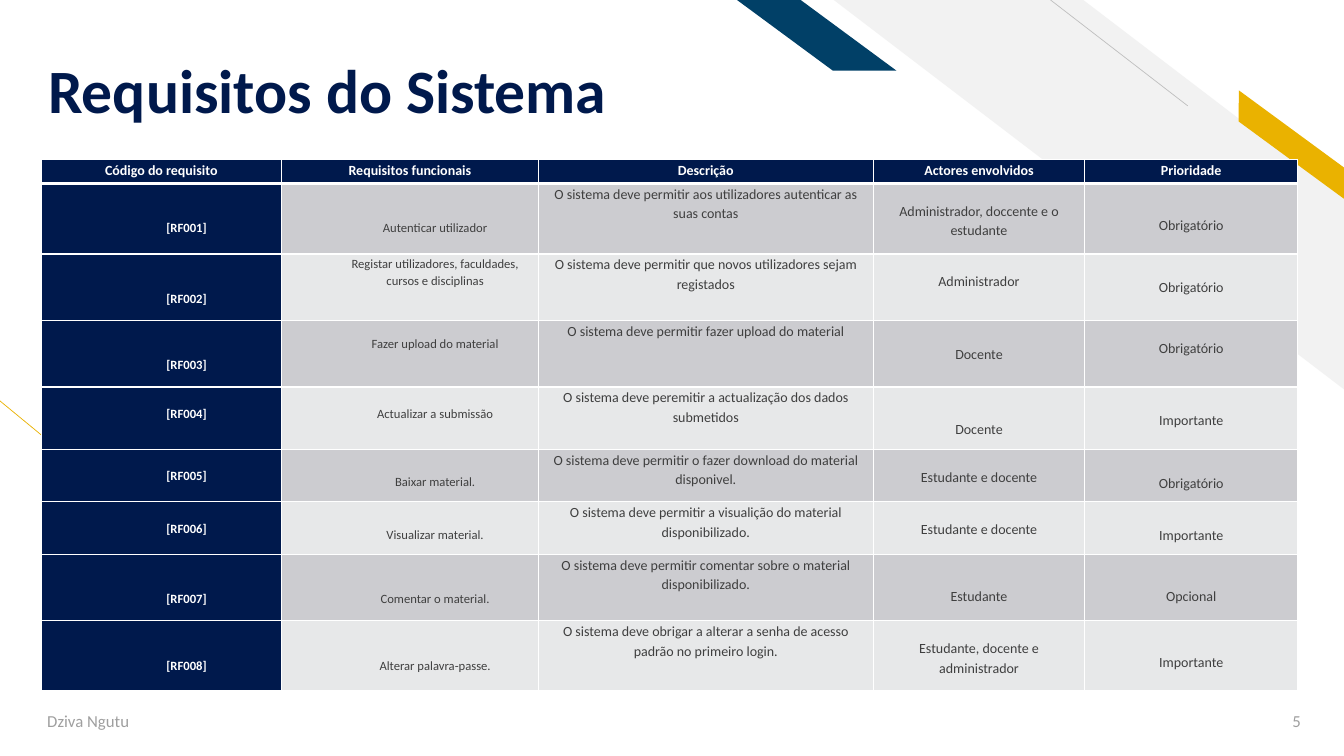
from lxml import etree
from pptx import Presentation
from pptx.dml.color import RGBColor
from pptx.enum.shapes import MSO_CONNECTOR, MSO_SHAPE as SHAPE
from pptx.enum.text import MSO_ANCHOR as ANCHOR, PP_ALIGN as ALIGN
from pptx.oxml import parse_xml
from pptx.oxml.ns import nsdecls, qn
from pptx.util import Inches, Pt

NAVY, WHITE, GREY, GOLD = "00194C", "FFFFFF", "3F3F3F", "EAB200"
BANDS = ("CCCCD0", "E7E8E9")

HEADER = ("Código do requisito", "Requisitos funcionais", "Descrição",
          "Actores envolvidos", "Prioridade")
REQUIREMENTS = [
    ("[RF001]", "Autenticar utilizador",
     "O sistema deve permitir aos utilizadores autenticar as suas contas",
     "Administrador, doccente e o estudante", "Obrigatório"),
    ("[RF002]", "Registar utilizadores, faculdades, cursos e disciplinas",
     "O sistema deve permitir que novos utilizadores sejam registados",
     "Administrador", "Obrigatório"),
    ("[RF003]", "Fazer upload do material",
     "O sistema deve permitir fazer upload do material", "Docente", "Obrigatório"),
    ("[RF004]", "Actualizar a submissão",
     "O sistema deve peremitir a actualização dos dados submetidos",
     "Docente", "Importante"),
    ("[RF005]", "Baixar material.",
     "O sistema deve permitir o fazer download do material disponivel.",
     "Estudante e docente", "Obrigatório"),
    ("[RF006]", "Visualizar material.",
     "O sistema deve permitir a visualição do material disponibilizado.",
     "Estudante e docente", "Importante"),
    ("[RF007]", "Comentar o material.",
     "O sistema deve permitir comentar sobre o material disponibilizado.",
     "Estudante", "Opcional"),
    ("[RF008]", "Alterar palavra-passe.",
     "O sistema deve obrigar a alterar a senha de acesso padrão no primeiro login.",
     "Estudante, docente e administrador", "Importante"),
]
TOP_GAPS = [
    (0.35, 0.35, 0, 0.17, 0.31),
    (0.35, 0, 0, 0.17, 0.23),
    (0.35, 0.14, 0, 0.23, 0.17),
    (0.17, 0.17, 0, 0.31, 0.23),
    (0.17, 0.23, 0, 0.17, 0.23),
    (0.17, 0.23, 0, 0.17, 0.23),
    (0.35, 0.35, 0, 0.31, 0.31),
    (0.35, 0.35, 0, 0.17, 0.31),
]
TABLE_BOX = (0.41, 1.58, 12.46, 5.27)
COLS = (2.38, 2.55, 3.32, 2.1, 2.11)
ROWS = (0.24, 0.7, 0.66, 0.66, 0.62, 0.52, 0.52, 0.66, 0.69)

STRIPE = (SHAPE.DIAGONAL_STRIPE, (8.27, 0, 5.07, 3.87), 0.512, "F2F2F2", 0)
GOLD_BAR = (SHAPE.PARALLELOGRAM, (12.07, 1.31, 1.48, 0.25), 0.72, GOLD, 36.3)
BLUE_BAR = (SHAPE.PARALLELOGRAM, (7.31, 0, 1.58, 0.7), 1.356, "014067", 0)
GOLD_LINE = ((2.08, 5.69), (-0.01, 3.97), GOLD)
GREY_LINE = ((11.78, 1.05), (10.42, 0), "BFBFBF")

TITLE_FONT = {"size": Pt(44), "name": "Calibri", "bold": True}
FOOTER_FONT = {"size": Pt(12), "name": "Calibri", "bold": False}


def rgb(value):
    return RGBColor.from_string(value)


def apply(obj, values):
    for name, value in values.items():
        setattr(obj, name, value)


def write(tf, text, font, color, **para):
    p = tf.paragraphs[0]
    apply(p, para)
    r = p.add_run()
    r.text = text
    apply(r.font, font)
    r.font.color.rgb = rgb(color)


def add_text(s, box, text, font, color, frame, **para):
    tf = s.shapes.add_textbox(*map(Inches, box)).text_frame
    apply(tf, {"word_wrap": True, **frame})
    write(tf, text, font, color, **para)


def add_stripe(s, kind, box, adj, fill, angle):
    sp = s.shapes.add_shape(kind, *map(Inches, box))
    sp.shadow.inherit = False
    sp.adjustments[0] = adj
    sp.rotation = angle
    sp.fill.solid()
    sp.fill.fore_color.rgb = rgb(fill)
    sp.line.fill.background()
    sp._element.spPr.find(qn("a:xfrm")).set("flipH", "1")


def add_line(s, start, end, color):
    c = s.shapes.add_connector(MSO_CONNECTOR.STRAIGHT, *map(Inches, start + end))
    c.line.width = Pt(0.5)
    c.line.color.rgb = rgb(color)
    etree.SubElement(c._element.spPr, qn("a:effectLst"))


def set_borders(cell, bottom, top):
    tcPr = cell._tc.get_or_add_tcPr()
    for i, (side, width) in enumerate((("L", 1), ("R", 1), ("T", top), ("B", bottom))):
        tcPr.insert(i, parse_xml(
            f'<a:ln{side} {nsdecls("a")} w="{Pt(width)}"><a:solidFill>'
            f'<a:srgbClr val="{WHITE}"/></a:solidFill></a:ln{side}>'))


def add_requirements(s):
    tbl = s.shapes.add_table(len(ROWS), len(COLS), *map(Inches, TABLE_BOX)).table
    apply(tbl, {"first_row": False, "horz_banding": False})
    for col, width in zip(tbl.columns, COLS):
        col.width = Inches(width)
    for row, height in zip(tbl.rows, ROWS):
        row.height = Inches(height)
    gaps = [(0,) * len(COLS)] + TOP_GAPS
    for i, texts in enumerate([HEADER] + REQUIREMENTS):
        for j, text in enumerate(texts):
            dark = i == 0 or j == 0
            indented = i > 0 and j < 2
            cell = tbl.cell(i, j)
            apply(cell, {"margin_left": Inches(0.56 if indented else 0.06),
                         "margin_right": Inches(0.06),
                         "margin_top": Inches(gaps[i][j]),
                         "margin_bottom": 0,
                         "vertical_anchor": ANCHOR.TOP})
            cell.fill.solid()
            cell.fill.fore_color.rgb = rgb(NAVY if dark else BANDS[(i - 1) % 2])
            set_borders(cell, 3 if i == 0 else 1, 3 if i == 1 else 1)
            font = {"size": Pt(9 if indented else 10), "name": "Calibri", "bold": dark}
            write(cell.text_frame, text, font, WHITE if dark else GREY,
                  alignment=ALIGN.CENTER, line_spacing=1.15,
                  space_after=Pt(0 if indented else 8))


def main():
    prs = Presentation()
    prs.slide_width, prs.slide_height = Inches(13.33), Inches(7.5)
    s = prs.slides.add_slide(prs.slide_layouts[6])
    add_line(s, *GOLD_LINE)
    add_stripe(s, *STRIPE)
    add_line(s, *GREY_LINE)
    add_stripe(s, *GOLD_BAR)
    add_stripe(s, *BLUE_BAR)
    add_text(s, (0.38, 0, 9.11, 1.26), "Requisitos do Sistema", TITLE_FONT, NAVY,
             {"vertical_anchor": ANCHOR.BOTTOM, "margin_bottom": 0}, line_spacing=0.9)
    add_requirements(s)
    middle = {"vertical_anchor": ANCHOR.MIDDLE}
    add_text(s, (0.37, 6.95, 4.5, 0.4), "Dziva Ngutu", FOOTER_FONT, "9F9F9F", middle)
    add_text(s, (12.19, 6.95, 0.81, 0.4), "5", FOOTER_FONT, "9F9F9F", middle,
             alignment=ALIGN.RIGHT)
    prs.save("out.pptx")


if __name__ == "__main__":
    main()
